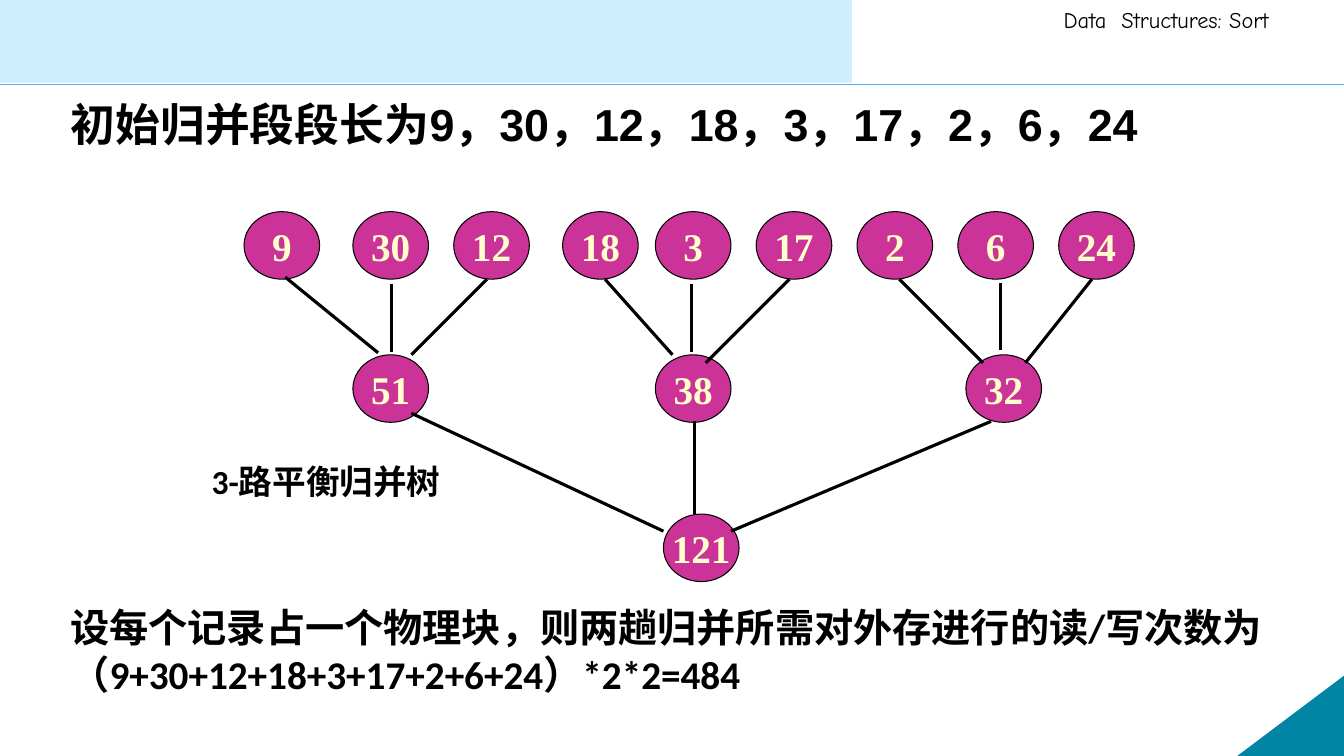
from lxml import etree
from pptx import Presentation
from pptx.dml.color import RGBColor
from pptx.enum.shapes import MSO_CONNECTOR, MSO_SHAPE
from pptx.enum.text import MSO_ANCHOR, MSO_AUTO_SIZE, PP_ALIGN
from pptx.oxml.ns import qn
from pptx.util import Inches, Pt

STRAIGHT = MSO_CONNECTOR.STRAIGHT
RECTANGLE, OVAL = MSO_SHAPE.RECTANGLE, MSO_SHAPE.OVAL
RIGHT_TRIANGLE = MSO_SHAPE.RIGHT_TRIANGLE
TOP, MIDDLE = MSO_ANCHOR.TOP, MSO_ANCHOR.MIDDLE
LEFT, CENTER = PP_ALIGN.LEFT, PP_ALIGN.CENTER
FIXED = MSO_AUTO_SIZE.NONE

COLORS = {
    "ink": "000000",
    "band": "CFEDFE",
    "rule": "5AAAED",
    "corner": "0085A4",
    "node": "CC3399",
    "number": "FFFFCC",
}
NODE_WIDTH, NODE_HEIGHT = 0.75, 0.67

NODE_LEVELS = [
    (2.1, [(2.42, "9"), (3.5, "30"), (4.5, "12"), (5.58, "18"), (6.5, "3"),
           (7.5, "17"), (8.5, "2"), (9.5, "6"), (10.5, "24")]),
    (3.52, [(3.5, "51"), (6.5, "38"), (9.58, "32")]),
    (5.1, [(6.58, "121")]),
]
BRANCH_LEVELS = [
    [(3.88, 2.82, 3.88, 3.49), (6.86, 2.82, 6.86, 3.49), (9.92, 2.81, 9.92, 3.47),
     (2.83, 2.75, 3.75, 3.5), (4.83, 2.77, 4.08, 3.52), (6, 2.77, 6.67, 3.52),
     (7.83, 2.77, 7, 3.6), (8.92, 2.77, 9.75, 3.6), (10.83, 2.77, 10.17, 3.6)],
    [(6.89, 4.18, 6.89, 5.1), (4.08, 4.1, 6.58, 5.27), (9.83, 4.18, 7.25, 5.27)],
]


class MergeTreeSlide:
    """Draws the elements of the merge tree slide in one style."""

    def __init__(self, slide):
        self.slide = slide

    def color(self, name):
        return RGBColor.from_string(COLORS[name])

    def fill_text(self, frame, lines, size, font, color="ink", bold=True, align=LEFT):
        frame.text = "\n".join(lines)
        for paragraph in frame.paragraphs:
            paragraph.alignment = align
            paragraph.font.size = Pt(size)
            paragraph.font.name = font
            paragraph.font.bold = bold
            paragraph.font.color.rgb = self.color(color)

    def title(self, box, text, size, font):
        heading = self.slide.shapes.title
        heading.left, heading.top, heading.width, heading.height = map(Inches, box)
        frame = heading.text_frame
        frame.auto_size = FIXED
        frame.word_wrap = True
        frame.vertical_anchor = TOP
        self.fill_text(frame, [text], size, font)

    def text(self, box, lines, size, font, bold=True):
        frame = self.slide.shapes.add_textbox(*map(Inches, box)).text_frame
        frame.word_wrap = True
        self.fill_text(frame, lines, size, font, bold=bold)

    def shape(self, preset, box, fill, line=None, group=None):
        parent = group or self.slide
        shape = parent.shapes.add_shape(preset, *map(Inches, box))
        shape.shadow.inherit = False
        shape.fill.solid()
        shape.fill.fore_color.rgb = self.color(fill)
        if line:
            shape.line.color.rgb = self.color(line)
            shape.line.width = Pt(0.75)
        else:
            shape.line.fill.background()
        return shape

    def corner(self, box):
        triangle = self.shape(RIGHT_TRIANGLE, box, "corner", "corner")
        triangle._element.spPr.find(qn("a:xfrm")).set("flipH", "1")

    def line(self, ends, color="ink", width=2.25, group=None):
        parent = group or self.slide
        connector = parent.shapes.add_connector(STRAIGHT, *map(Inches, ends))
        connector.line.color.rgb = self.color(color)
        connector.line.width = Pt(width)
        etree.SubElement(connector._element.spPr, qn("a:effectLst"))

    def node(self, left, top, number, group):
        box = (left, top, NODE_WIDTH, NODE_HEIGHT)
        frame = self.shape(OVAL, box, "node", "ink", group).text_frame
        frame.word_wrap = False
        frame.vertical_anchor = MIDDLE
        self.fill_text(frame, [number], 28, "Times New Roman", "number", align=CENTER)

    def node_level(self, top, nodes):
        group = self.slide.shapes.add_group_shape()
        for left, number in nodes:
            self.node(left, top, number, group)

    def branch_level(self, branches):
        group = self.slide.shapes.add_group_shape()
        for ends in branches:
            self.line(ends, group=group)


def main():
    deck = Presentation()
    deck.slide_width, deck.slide_height = Inches(13.33), Inches(7.5)
    page = MergeTreeSlide(deck.slides.add_slide(deck.slide_layouts[5]))

    page.line((0, 0.84, 13.33, 0.84), "rule", 1)
    page.corner((12.28, 6.71, 1.05, 0.79))
    page.text((10.45, 0.01, 2.89, 0.37), ["Data  Structures: Sort"], 16,
              "Comic Neue", bold=False)
    page.shape(RECTANGLE, (-0.03, -0.07, 8.48, 0.89), "band")
    page.title((0.6, 0.91, 12.36, 0.64),
               "初始归并段段长为9，30，12，18，3，17，2，6，24", 32, "Arial")

    for top, nodes in NODE_LEVELS:
        page.node_level(top, nodes)
    for branches in BRANCH_LEVELS:
        page.branch_level(branches)

    page.text((2, 4.52, 2.75, 0.5), ["3-路平衡归并树"], 24, "Calibri")
    page.text((0.6, 5.94, 12.37, 1.04),
              ["设每个记录占一个物理块，则两趟归并所需对外存进行的读/写次数为",
               "（9+30+12+18+3+17+2+6+24）*2*2=484"], 28, "Calibri")
    deck.save("out.pptx")


if __name__ == "__main__":
    main()
